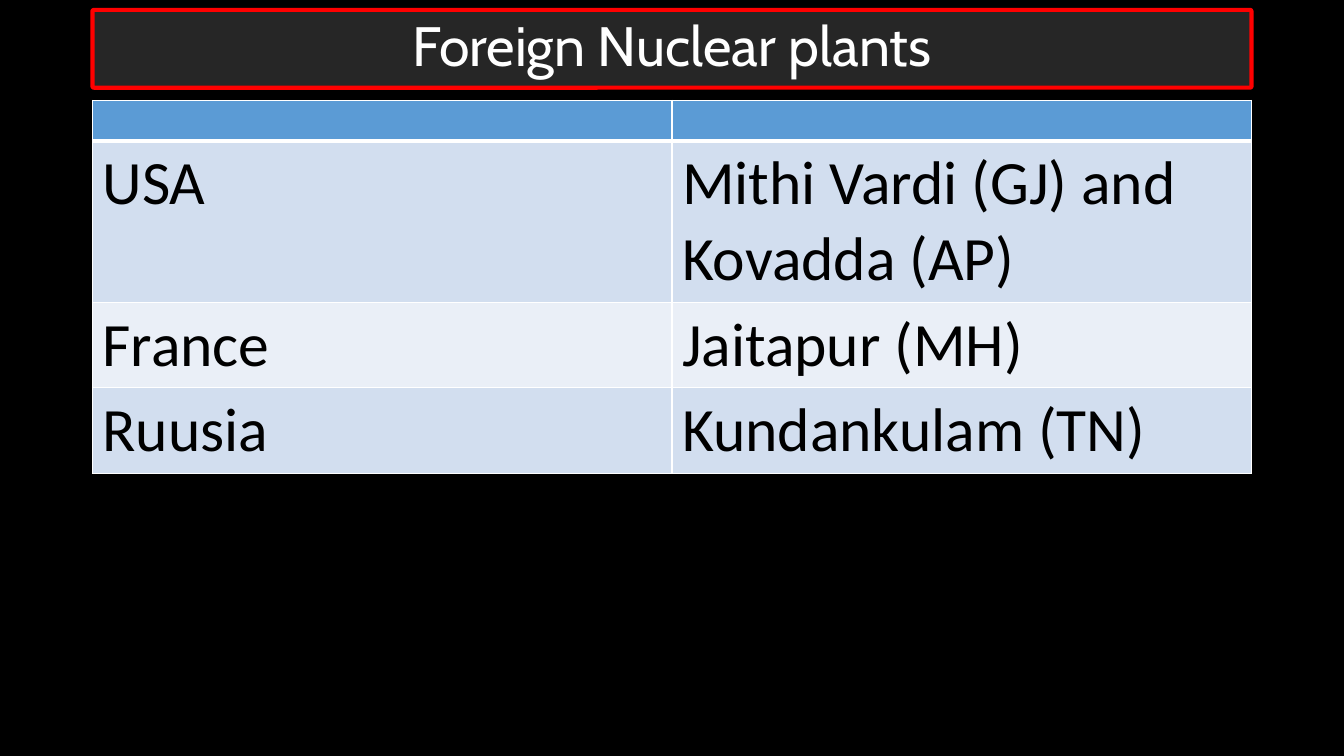
from lxml.etree import SubElement
from pptx import Presentation
from pptx.dml.color import RGBColor as RGB
from pptx.enum.shapes import MSO_SHAPE as SHAPE
from pptx.enum.text import MSO_ANCHOR as ANCHOR, PP_ALIGN as ALIGN
from pptx.oxml.ns import qn
from pptx.util import Cm, Pt

COLORS = {
    "black": "000000",
    "white": "FFFFFF",
    "title": "262626",
    "frame": "FF0000",
    "header": "5B9BD5",
    "odd": "D2DEEF",
    "even": "EAEFF7",
}
LEFT, WIDTH = Cm(2.33), Cm(29.21)


def add_run(p, text, size, font, color):
    r = p.add_run()
    r.text = text
    r.font.size = Pt(size)
    r.font.name = font
    r.font.color.rgb = RGB.from_string(COLORS[color])


def set_borders(cell, bottom):
    tcPr = cell._tc.get_or_add_tcPr()
    for side, width in (("L", 1), ("R", 1), ("T", 1), ("B", bottom)):
        ln = SubElement(tcPr, qn(f"a:ln{side}"), w=str(Pt(width)))
        fill = SubElement(ln, qn("a:solidFill"))
        SubElement(fill, qn("a:srgbClr"), val=COLORS["white"])


prs = Presentation()
prs.slide_width, prs.slide_height = Cm(33.87), Cm(19.05)
s = prs.slides.add_slide(prs.slide_layouts[6])
s.background.fill.solid()
s.background.fill.fore_color.rgb = RGB.from_string(COLORS["black"])

rows = [
    ("", ""),
    ("USA", "Mithi Vardi (GJ) and Kovadda (AP)"),
    ("France", "Jaitapur (MH)"),
    ("Ruusia", "Kundankulam (TN)"),
]
heights = [1.03, 4.06, 2.15, 2.15]
table = s.shapes.add_table(len(rows), 2, LEFT, Cm(2.53), WIDTH, Cm(sum(heights))).table
for i, (texts, height) in enumerate(zip(rows, heights)):
    table.rows[i].height = Cm(height)
    color = "header" if i == 0 else "odd" if i % 2 else "even"
    for j, text in enumerate(texts):
        cell = table.cell(i, j)
        set_borders(cell, 3 if i == 0 else 1)
        cell.fill.solid()
        cell.fill.fore_color.rgb = RGB.from_string(COLORS[color])
        if text:
            add_run(cell.text_frame.paragraphs[0], text, 44, "Calibri", "black")

title = s.shapes.add_shape(SHAPE.ROUNDED_RECTANGLE, LEFT, Cm(0.25), WIDTH, Cm(1.96))
title.adjustments[0] = 0.02
title.shadow.inherit = False
title.fill.solid()
title.fill.fore_color.rgb = RGB.from_string(COLORS["title"])
title.line.color.rgb = RGB.from_string(COLORS["frame"])
title.line.width = Pt(3)
tf = title.text_frame
tf.word_wrap = True
tf.vertical_anchor = ANCHOR.MIDDLE
p = tf.paragraphs[0]
p.alignment = ALIGN.CENTER
p.line_spacing = 0.9
add_run(p, "Foreign Nuclear plants", 39.6, "Cabin", "white")

prs.save("out.pptx")
